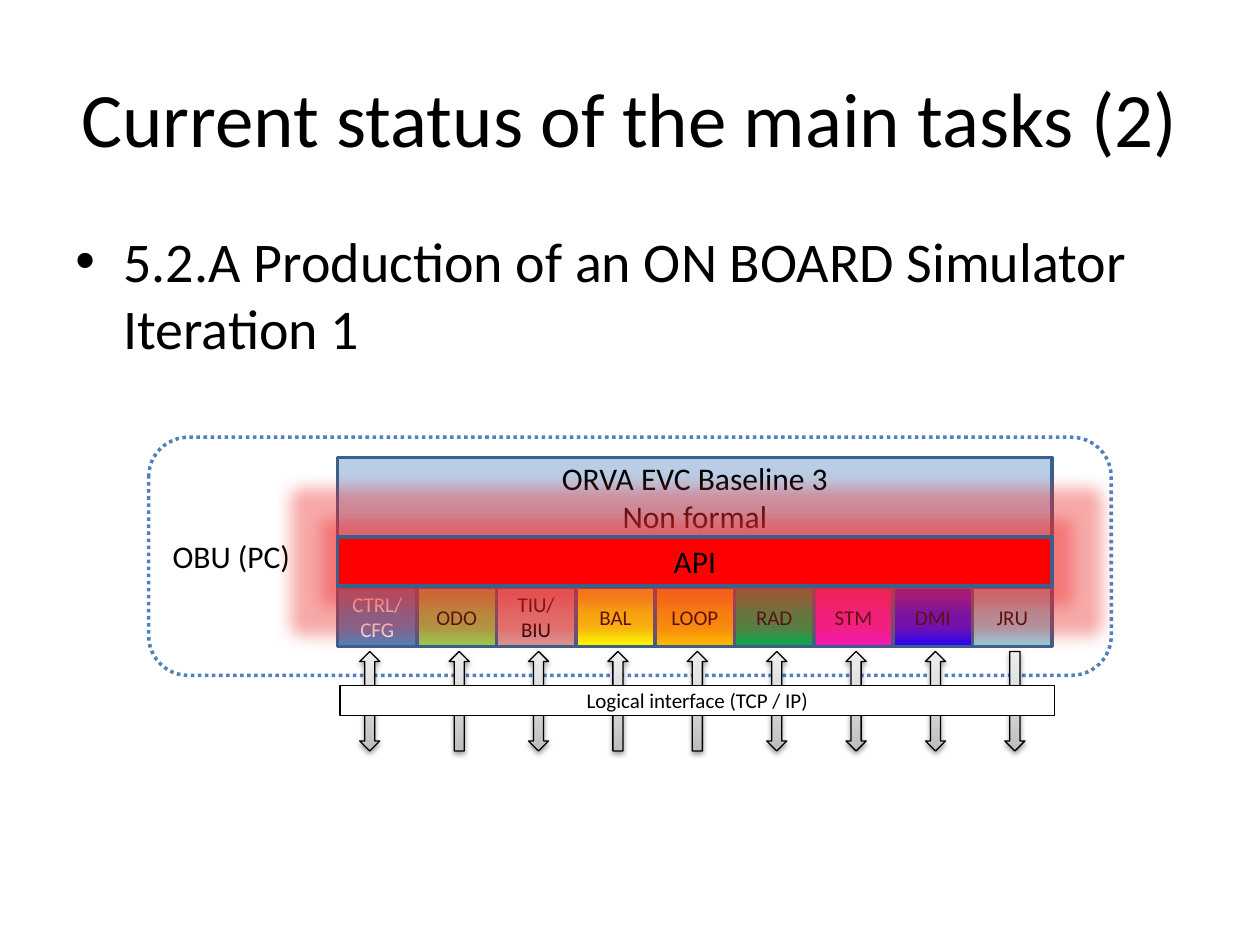
from lxml import etree
from pptx import Presentation
from pptx.dml.color import RGBColor
from pptx.enum.dml import MSO_LINE
from pptx.enum.shapes import MSO_SHAPE
from pptx.enum.text import MSO_ANCHOR, PP_ALIGN
from pptx.oxml.ns import qn
from pptx.util import Inches, Pt

RECT, ROUNDED = MSO_SHAPE.RECTANGLE, MSO_SHAPE.ROUNDED_RECTANGLE
UP, DOWN, BOTH = MSO_SHAPE.UP_ARROW, MSO_SHAPE.DOWN_ARROW, MSO_SHAPE.UP_DOWN_ARROW
LEFT, CENTER = PP_ALIGN.LEFT, PP_ALIGN.CENTER
TOP, MIDDLE = MSO_ANCHOR.TOP, MSO_ANCHOR.MIDDLE
DOTTED = MSO_LINE.ROUND_DOT
FONT = "Calibri"
BLACK, WHITE, EDGE = "000000", "FFFFFF", "3A5F8C"

MODULES = [  # label, fill, text colour, arrow
    ("CTRL/\nCFG", "4F81BD", WHITE, BOTH),
    ("ODO", "92D050", BLACK, UP),
    ("TIU/\nBIU", "D99694", BLACK, BOTH),
    ("BAL", "FFFF00", BLACK, UP),
    ("LOOP", "FFC000", BLACK, UP),
    ("RAD", "00B050", BLACK, BOTH),
    ("STM", "F319B5", BLACK, BOTH),
    ("DMI", "2703FD", BLACK, BOTH),
    ("JRU", "93CDDD", BLACK, DOWN),
]
ARROW_STOPS = [(0, "BDBDBD"), (35, "D1D1D1"), (100, "EEEEEE")]


def rgb(value):
    return RGBColor.from_string(value)


def add_node(parent, tag, **attrs):
    return etree.SubElement(parent, qn(tag), {k: str(v) for k, v in attrs.items()})


def write(sp, text, size, color=BLACK, align=CENTER, anchor=MIDDLE):
    tf = sp.text_frame
    tf.word_wrap = True
    tf.vertical_anchor = anchor
    tf.text = text
    for p in tf.paragraphs:
        p.alignment = align
        p.font.name, p.font.size = FONT, Pt(size)
        p.font.color.rgb = rgb(color)
    return tf


def add_text(s, box, text, size, **layout):
    sp = s.shapes.add_textbox(*map(Inches, box))
    return write(sp, text, size, **layout)


def add_box(s, kind, box, fill, line, width):
    sp = s.shapes.add_shape(kind, *map(Inches, box))
    sp.fill.solid()
    sp.fill.fore_color.rgb = rgb(fill)
    sp.line.color.rgb = rgb(line)
    sp.line.width = Pt(width)
    sp.shadow.inherit = False
    return sp


def add_block(s, box, text, size, fill, color=BLACK, line=EDGE, width=2):
    """Rectangle with a centred label that may use its full width."""
    sp = add_box(s, RECT, box, fill, line, width)
    tf = write(sp, text, size, color)
    tf.margin_left = tf.margin_right = 0
    return sp


def add_effect(sp, tag, color, alpha, **attrs):
    effects = sp.element.spPr.find(qn("a:effectLst"))
    clr = add_node(add_node(effects, tag, **attrs), "a:srgbClr", val=color)
    add_node(clr, "a:alpha", val=alpha * 1000)


def add_arrow(s, kind, box):
    sp = add_box(s, kind, box, WHITE, BLACK, 0.75)
    sp.fill.gradient()
    sp.fill.gradient_angle = 90
    stops = sp.element.spPr.find(qn("a:gradFill")).find(qn("a:gsLst"))
    for stop in list(stops):
        stops.remove(stop)
    for pos, color in ARROW_STOPS:
        add_node(add_node(stops, "a:gs", pos=pos * 1000), "a:srgbClr", val=color)
    add_effect(sp, "a:outerShdw", BLACK, 38, blurRad=Pt(3.1), dist=Pt(1.6),
               dir=5400000, rotWithShape=0)


def add_bullet_text(s, box, text):
    p = add_text(s, box, text, 32, align=LEFT, anchor=TOP).paragraphs[0]
    p.space_before = Pt(6.4)
    pPr = p._p.get_or_add_pPr()
    pPr.set("marL", str(Inches(0.38)))
    pPr.set("indent", str(-Inches(0.38)))
    bullet_font = etree.Element(qn("a:buFont"), typeface="Arial")
    bullet = etree.Element(qn("a:buChar"), char="•")
    pPr.find(qn("a:spcBef")).addnext(bullet_font)
    bullet_font.addnext(bullet)


def add_modules(s, left, top, width, height):
    step = width / len(MODULES)
    for i, (label, fill, color, _) in enumerate(MODULES):
        add_block(s, (left + i * step, top, step, height), label, 12, fill, color)


def add_arrows(s, left, top, width, height):
    step, arrow_width = width / len(MODULES), 0.16
    for i, (*_, kind) in enumerate(MODULES):
        nudge = -0.06 if i == 0 else 0.02
        x = left + (i + 0.5) * step - arrow_width / 2 + nudge
        add_arrow(s, kind, (x, top, arrow_width, height))


def add_simulator(s, left, top, width, height):
    frame = add_box(s, ROUNDED, (left, top, width, height), WHITE, "4F81BD", 2)
    frame.line.dash_style = DOTTED
    write(frame, "OBU (PC)", 18, align=LEFT)

    x, w = left + 1.5, 5.67
    add_modules(s, x, top + 1.19, w, 0.47)
    add_arrows(s, x, top + 1.7, w, 0.79)
    add_block(s, (x + 0.02, top + 1.97, w, 0.24), "Logical interface (TCP / IP)",
              12, WHITE, line=BLACK, width=1)
    add_block(s, (x, top + 0.16, w, 0.63), "ORVA EVC Baseline 3\nNon formal",
              18, "B9CDE5")
    api = add_block(s, (x, top + 0.79, w, 0.39), "API", 18, "FF0000")
    add_effect(api, "a:glow", "EE2A2A", 40, rad=Inches(0.25))


def main():
    prs = Presentation()
    prs.slide_width, prs.slide_height = Inches(10), Inches(7.5)
    s = prs.slides.add_slide(prs.slide_layouts[6])
    add_text(s, (0.5, 0.3, 9, 1.25), "Current status of the main tasks (2)", 44)
    add_bullet_text(s, (0.5, 1.75, 9, 4.95),
                    "5.2.A Production of an ON BOARD Simulator Iteration 1")
    add_simulator(s, 1.18, 3.47, 7.64, 1.89)
    prs.save("out.pptx")


if __name__ == "__main__":
    main()
